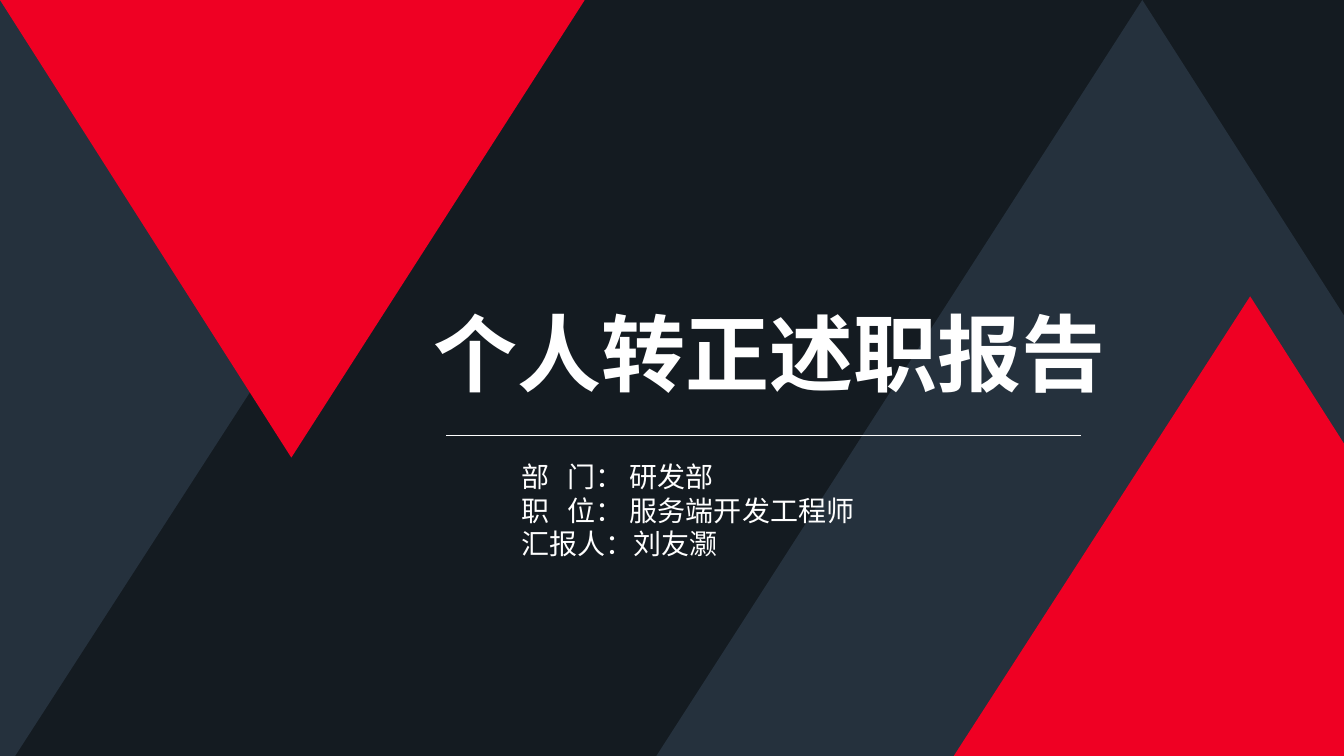
from lxml import etree
from pptx import Presentation
from pptx import util as u
from pptx.dml import color
from pptx.enum import shapes, text
from pptx.oxml import ns

HUES = {"back": "141B21", "slate": "25313D", "red": "EF0023",
        "white": "FFFFFF", "rule": "FEFEFE"}


def paint(fill, hue):
    fill.solid()
    fill.fore_color.rgb = color.RGBColor.from_string(HUES[hue])


def style(par, size, bold):
    for run in par.runs:
        run.font.name = "Arial"
        run.font.size = u.Pt(size)
        run.font.bold = bold
        paint(run.font.fill, "white")


deck = Presentation()
deck.slide_width = u.Inches(13.33)
deck.slide_height = u.Inches(7.5)
slide = deck.slides.add_slide(deck.slide_layouts[6])
paint(slide.background.fill, "back")

bands = [
    ("slate", [(11.33, 0), (6.51, 7.5), (13.33, 7.5), (13.33, 3.13)]),
    ("slate", [(4.99, 0), (0, 0), (0, 7.5), (0.15, 7.5)]),
    ("red", [(0, 0), (2.89, 4.54), (5.8, 0)]),
    ("red", [(13.33, 4.4), (12.4, 2.94), (9.46, 7.5), (13.33, 7.5)]),
]
for hue, points in bands:
    spots = [(u.Inches(x), u.Inches(y)) for x, y in points]
    pen = slide.shapes.build_freeform(*spots[0])
    pen.add_line_segments(spots[1:], close=True)
    band = pen.convert_to_shape()
    band.shadow.inherit = False
    paint(band.fill, hue)
    band.line.fill.background()

title = slide.shapes.add_textbox(
    u.Inches(4.2), u.Inches(2.94), u.Inches(6.96), u.Inches(1.11))
frame = title.text_frame
frame.word_wrap = False
frame.auto_size = text.MSO_AUTO_SIZE.SHAPE_TO_FIT_TEXT
frame.text = "个人转正述职报告"
style(frame.paragraphs[0], 60, True)

facts = slide.shapes.add_textbox(
    u.Inches(5.07), u.Inches(4.51), u.Inches(3.97), u.Inches(1.45))
frame = facts.text_frame
frame.word_wrap = True
frame.auto_size = text.MSO_AUTO_SIZE.SHAPE_TO_FIT_TEXT
frame.text = "部\t门： 研发部\n职\t位： 服务端开发工程师\n汇报人：刘友灏"
for par in frame.paragraphs:
    if "\t" in par.text:
        props = par._p.get_or_add_pPr()
        tabs = etree.SubElement(props, ns.qn("a:tabLst"))
        etree.SubElement(tabs, ns.qn("a:tab"),
                         pos=str(u.Inches(0.46)), algn="l")
    style(par, 20, False)

rule = slide.shapes.add_connector(
    shapes.MSO_CONNECTOR.STRAIGHT,
    u.Inches(10.72), u.Inches(4.32), u.Inches(4.42), u.Inches(4.32))
paint(rule.line.fill, "rule")
rule.line.width = u.Pt(0.5)
etree.SubElement(rule._element.spPr, ns.qn("a:effectLst"))

deck.save("out.pptx")
